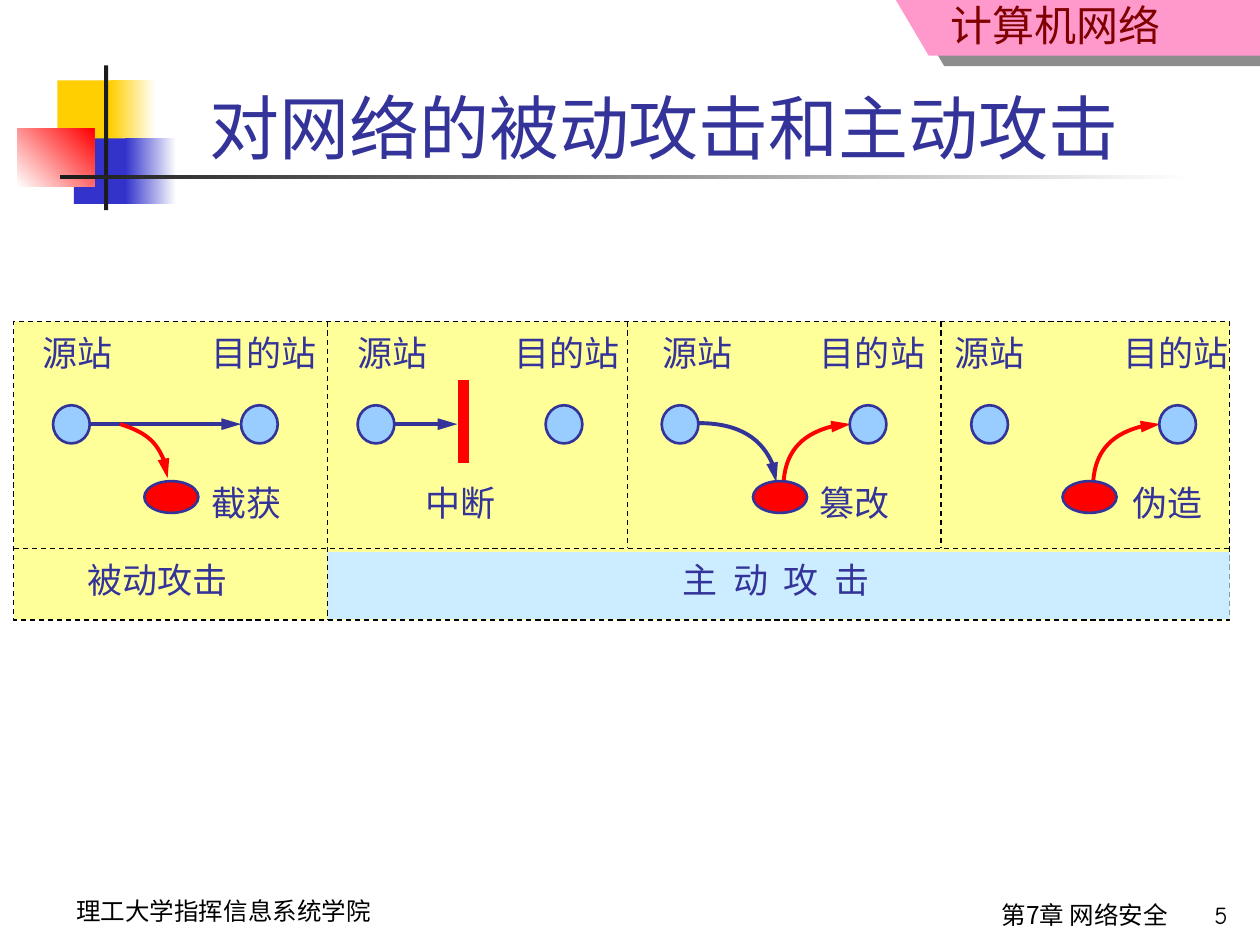
from dataclasses import dataclass

from lxml import etree
from pptx import Presentation
from pptx.dml.color import RGBColor
from pptx.enum.dml import MSO_LINE
from pptx.enum.shapes import MSO_CONNECTOR, MSO_SHAPE
from pptx.enum.text import MSO_ANCHOR, MSO_AUTO_SIZE, PP_ALIGN
from pptx.oxml.ns import qn
from pptx.util import Cm, Pt

RECT, OVAL = MSO_SHAPE.RECTANGLE, MSO_SHAPE.OVAL
STRAIGHT, DASH = MSO_CONNECTOR.STRAIGHT, MSO_LINE.DASH
LEFT, CENTER, RIGHT = PP_ALIGN.LEFT, PP_ALIGN.CENTER, PP_ALIGN.RIGHT


@dataclass(frozen=True)
class Theme:
    """Colours, fonts and type sizes of the slide."""
    ink: str = "333399"
    black: str = "000000"
    white: str = "FFFFFF"
    dark: str = "1C1C1C"
    gold: str = "FFCF01"
    blue: str = "3333CC"
    red: str = "FF0000"
    pink: str = "FF99CC"
    maroon: str = "800000"
    cream: str = "FFFF99"
    pale: str = "CCECFF"
    node: str = "99CCFF"
    sans: str = "Arial"
    comic: str = "Comic Neue"
    cjk: str = "Noto Sans CJK SC"
    title: int = 40
    header: int = 24
    label: int = 20
    footer: int = 14


@dataclass(frozen=True)
class Panel:
    """One attack: column edge, offsets inside the column, and its arrows."""
    left: float
    node: float
    source: float
    target: float
    caption: str
    caption_at: float
    arrows: tuple
    attacker: bool = True


T = Theme()
FORGE = (((2.46, 1.52), (2.51, 0.87), (3.09, 0.38), (3.81, 0.38)), T.red)
PANELS = (
    Panel(0.28, 0.79, 0.33, 3.73, "截获", 3.73, (
        (((0.74, 0.38), (3.79, 0.38)), T.ink),
        (((1.35, 0.38), (1.93, 0.56), (2.31, 0.99), (2.31, 1.47)), T.red))),
    Panel(6.6, 0.61, 0.36, 3.53, "中断", 1.73, (
        (((0.66, 0.38), (2.01, 0.38)), T.ink),
        (((2.13, -0.51), (2.13, 1.17)), T.red, 6, False)), False),
    Panel(12.65, 0.69, 0.46, 3.63, "篡改", 3.63, (
        (((0.74, 0.36), (1.6, 0.36), (2.31, 0.89), (2.31, 1.55)), T.ink), FORGE)),
    Panel(18.97, 0.61, 0.03, 3.43, "伪造", 3.61, (FORGE,)),
)


def rgb(code):
    """Turn a hex code into a colour."""
    return RGBColor.from_string(code)


def add_effects(sp):
    """Add an empty effect list and return it."""
    return etree.SubElement(sp._element.spPr, qn("a:effectLst"))


def style_line(line, color, width, dash=None):
    """Set colour, width and dash of a line."""
    line.color.rgb = rgb(color)
    line.width = Pt(width)
    if dash:
        line.dash_style = dash


def add_block(shapes, kind, box, fill, outline=None, angle=0):
    """Add a preset shape, with a gradient when fill is a pair."""
    sp = shapes.add_shape(kind, *map(Cm, box))
    sp.shadow.inherit = False
    if isinstance(fill, tuple):
        sp.fill.gradient()
        sp.fill.gradient_angle = angle
        for stop, color in zip(sp.fill.gradient_stops, fill):
            stop.color.rgb = rgb(color)
    else:
        sp.fill.solid()
        sp.fill.fore_color.rgb = rgb(fill)
    if outline:
        style_line(sp.line, *outline)
    else:
        sp.line.fill.background()


def write(tf, text, size, color, font, align, spacing=0):
    """Write one formatted run into a text frame."""
    p = tf.paragraphs[0]
    p.alignment = align
    r = p.add_run()
    r.text = text
    r.font.size, r.font.name = Pt(size), font
    r.font.color.rgb = rgb(color)
    rpr = r.font._element
    rpr.set("lang", "zh-CN")
    if spacing:
        rpr.set("spc", str(spacing))
    etree.SubElement(rpr, qn("a:ea")).set("typeface", T.cjk)


def add_text(shapes, box, text, size=T.label, color=T.ink, font=T.sans,
             align=LEFT, wrap=False, top=0.13, spacing=0):
    """Add a text box."""
    tf = shapes.add_textbox(*map(Cm, box)).text_frame
    tf.word_wrap = wrap
    tf.auto_size = MSO_AUTO_SIZE.NONE
    tf.margin_top = Cm(top)
    write(tf, text, size, color, font, align, spacing)


def add_line(shapes, x, y, points, color, width=2.25, arrow=True, dash=None):
    """Add a straight line for two points, or a Bezier curve for four."""
    pts = [(Cm(x + px), Cm(y + py)) for px, py in points]
    if len(pts) == 2:
        sp = shapes.add_connector(STRAIGHT, *pts[0], *pts[1])
    else:
        builder = shapes.build_freeform(*pts[0])
        builder.add_line_segments(pts[1:], close=False)
        sp = builder.convert_to_shape()
        sp.fill.background()
        steps = list(sp._element.iter(qn("a:lnTo")))
        curve = etree.SubElement(steps[0].getparent(), qn("a:cubicBezTo"))
        for step in steps:
            curve.append(step[0])
            step.getparent().remove(step)
    style_line(sp.line, color, width, dash)
    if arrow:
        ln = sp._element.spPr.find(qn("a:ln"))
        etree.SubElement(ln, qn("a:tailEnd"), type="triangle", w="med", len="lg")
    add_effects(sp)


def draw_emblem(shapes, x, y):
    """Draw the coloured squares and rules beside the title."""
    for dx, dy, w, h, fill, angle in (
            (0.81, 0.3, 1.22, 1.32, T.gold, 0),
            (1.88, 0.3, 0.91, 1.32, (T.gold, T.white), 0),
            (1.14, 1.47, 1.17, 1.32, T.blue, 0),
            (2.18, 1.47, 1.02, 1.32, (T.blue, T.white), 0),
            (0, 1.27, 1.55, 1.17, (T.white, T.red), 45),
            (1.75, 0, 0.08, 2.92, T.dark, 0),
            (0.86, 2.21, 22.86, 0.08, (T.dark, T.white), 0)):
        add_block(shapes, RECT, (x + dx, y + dy, w, h), fill, angle=angle)


def draw_ribbon(shapes, x, y, w, h):
    """Draw the course ribbon with its shadow."""
    builder = shapes.build_freeform(Cm(x), Cm(y))
    builder.add_line_segments([(Cm(x + 0.66), Cm(y + h)), (Cm(x + w), Cm(y + h)),
                               (Cm(x + w), Cm(y))])
    sp = builder.convert_to_shape()
    sp.fill.solid()
    sp.fill.fore_color.rgb = rgb(T.pink)
    sp.line.fill.background()
    shadow = etree.SubElement(add_effects(sp), qn("a:outerShdw"), dist=str(Pt(10.8)),
                              dir="2040000", algn="ctr", rotWithShape="0")
    color = etree.SubElement(shadow, qn("a:srgbClr"), val=T.dark)
    etree.SubElement(color, qn("a:alpha"), val="50000")
    add_text(shapes, (x - 3.38, y, 8.97, 1.14), "计算机网络", T.header, T.maroon,
             T.cjk, RIGHT, True, top=0)


def draw_panel(shapes, panel, y):
    """Draw one attack with its stations, arrows and labels."""
    x = panel.left + panel.node
    node_y = y + 1.69
    for arrow in panel.arrows:
        add_line(shapes, x, node_y, *arrow)
    for dx in (0, 3.79):
        add_block(shapes, OVAL, (x + dx, node_y, 0.74, 0.77), T.node, (T.ink, 1.5))
    if panel.attacker:
        add_block(shapes, OVAL, (x + 1.84, y + 3.22, 1.09, 0.64), T.red, (T.ink, 1.5))
    for dx, dy, w, text in ((panel.source, 0.08, 1.9, "源站"),
                            (panel.target, 0.08, 2.62, "目的站"),
                            (panel.caption_at, 3.1, 1.9, panel.caption)):
        add_text(shapes, (panel.left + dx, y + dy, w, 1.12), text)


def draw_diagram(shapes, x, y, w, h):
    """Draw the grid of passive and active attacks."""
    split, row = PANELS[1].left, 4.57
    rule = (T.black, 0.75, False, DASH)
    add_block(shapes, RECT, (x, y, w, h), T.cream, (T.black, 0.75, DASH))
    add_block(shapes, RECT, (split, y + row + 0.08, x + w - split, 1.35), T.pale)
    for panel in PANELS:
        draw_panel(shapes, panel, y)
    add_text(shapes, (x + 1.24, y + row + 0.08, 3.33, 1.12), "被动攻击")
    add_text(shapes, (x + 13.23, y + row + 0.08, 4.29, 1.12), "主 动 攻 击", spacing=220)
    add_line(shapes, x, y, ((0, row), (w, row)), *rule)
    for panel, depth in zip(PANELS[1:], (h, row, row)):
        add_line(shapes, panel.left, y, ((0, 0), (0, depth)), *rule)


def draw_footer(shapes, y):
    """Write the school, the chapter and the page number."""
    for box, text, font, align in (
            ((0.56, y, 7.9, 0.86), "理工大学指挥信息系统学院", T.comic, CENTER),
            ((10.9, y + 0.08, 12.9, 1.04), "第7章 网络安全", T.cjk, RIGHT),
            ((22.99, y + 0.08, 2.01, 0.97), "5", T.comic, RIGHT)):
        add_text(shapes, box, text, T.footer, T.black, font, align, True)


def draw_title(sp, x, y, w, h):
    """Place and write the slide title."""
    sp.left, sp.top, sp.width, sp.height = map(Cm, (x, y, w, h))
    tf = sp.text_frame
    tf.auto_size = MSO_AUTO_SIZE.NONE
    tf.vertical_anchor = MSO_ANCHOR.BOTTOM
    write(tf, "对网络的被动攻击和主动攻击", T.title, T.ink, T.sans, CENTER)


def main():
    """Build and save the slide."""
    prs = Presentation()
    prs.slide_width, prs.slide_height = Cm(25.4), Cm(19.05)
    shapes = prs.slides.add_slide(prs.slide_layouts[5]).shapes
    draw_emblem(shapes, 0.35, 1.32)
    draw_ribbon(shapes, 18.06, 0, 7.34, 1.12)
    draw_title(shapes.title, 3.86, 1.4, 19.05, 2.13)
    draw_diagram(shapes, 0.28, 6.48, 24.51, 6.02)
    draw_footer(shapes, 17.93)
    prs.save("out.pptx")


if __name__ == "__main__":
    main()
